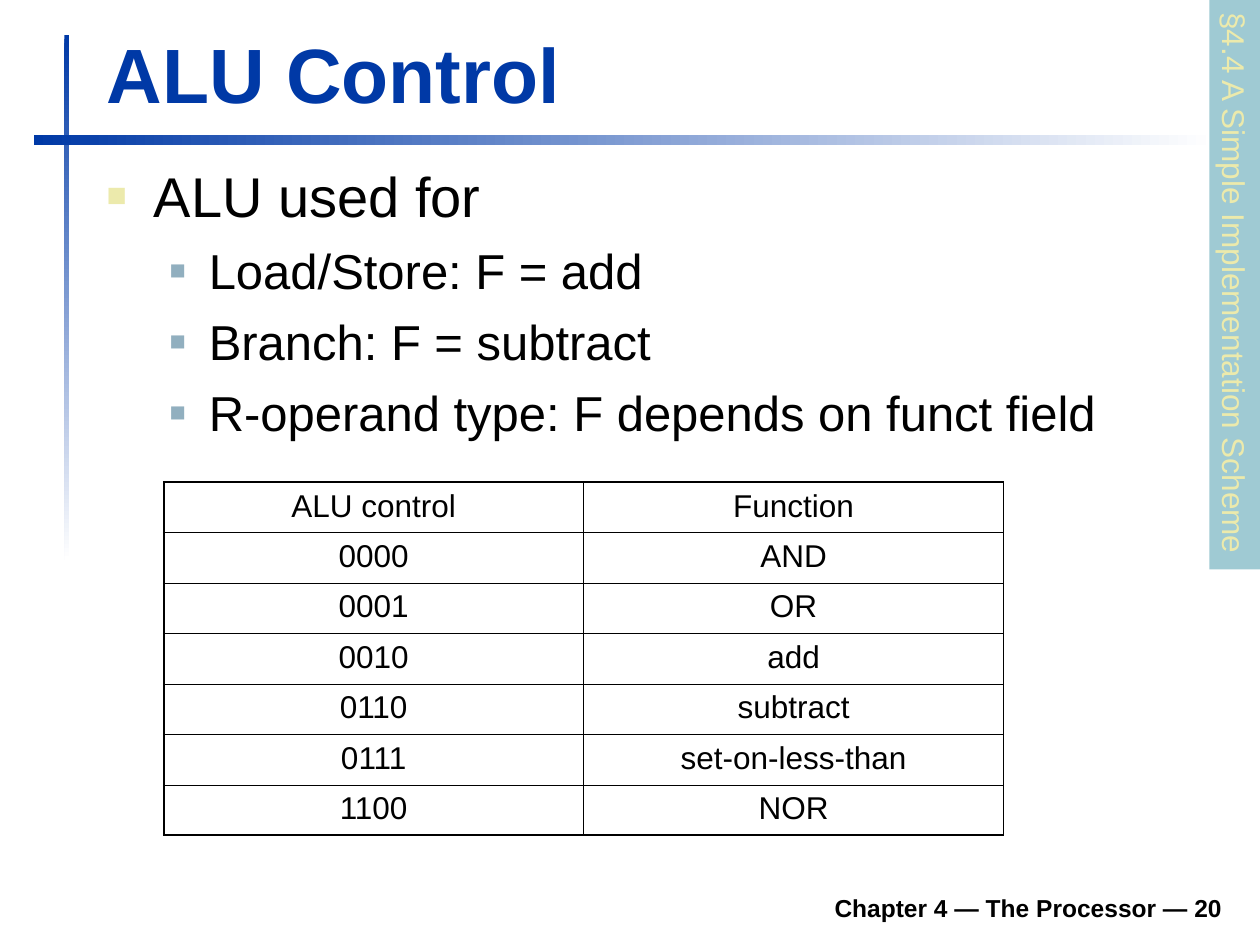
from lxml import etree
from pptx import Presentation
from pptx.dml.color import RGBColor
from pptx.enum.shapes import MSO_SHAPE
from pptx.enum.text import MSO_ANCHOR, PP_ALIGN
from pptx.oxml.ns import qn
from pptx.util import Cm, Pt

RECT = MSO_SHAPE.RECTANGLE
TOP, MIDDLE, BOTTOM = MSO_ANCHOR.TOP, MSO_ANCHOR.MIDDLE, MSO_ANCHOR.BOTTOM
LEFT, CENTER, RIGHT = PP_ALIGN.LEFT, PP_ALIGN.CENTER, PP_ALIGN.RIGHT

TITLE = "ALU Control"
BULLETS = [
    (0, "ALU used for"),
    (1, "Load/Store: F = add"),
    (1, "Branch: F = subtract"),
    (1, "R-operand type: F depends on funct field"),
]
TABLE = [
    ("ALU control", "Function"),
    ("0000", "AND"),
    ("0001", "OR"),
    ("0010", "add"),
    ("0110", "subtract"),
    ("0111", "set-on-less-than"),
    ("1100", "NOR"),
]
SECTION = "§4.4 A Simple Implementation Scheme"
FOOTER = "Chapter 4 — The Processor — 20"

THEME = {
    "font": "Arial",
    "blue": "0039A6", "white": "FFFFFF", "black": "000000",
    "cream": "ECEAAC", "teal": "9FCAD3",
    "title": 44, "table": 18, "section": 18, "footer": 14,
    "outer": 1.08, "header": 0.75, "inner": 0.45,
}
LEVELS = [
    {"size": 32, "before": 8, "margin": 0.95, "hang": 0.95, "color": "ECEAAC", "scale": 60},
    {"size": 28, "before": 7, "margin": 2.06, "hang": 0.79, "color": "91AFBF", "scale": 55},
]
RULES = [
    ((1.3, 0.71, 0.1, 10.59), 270),
    ((0.69, 2.72, 23.8, 0.2), 0),
]


def rgb(name):
    return RGBColor.from_string(THEME.get(name, name))


def box(at):
    return [Cm(v) for v in at]


def add_run(p, text, size, color="black", bold=False):
    r = p.add_run()
    r.text = text
    r.font.name = THEME["font"]
    r.font.size = Pt(size)
    r.font.bold = bold
    r.font.color.rgb = rgb(color)


def set_frame(tf, anchor, wrap=True):
    tf.word_wrap = wrap
    tf.vertical_anchor = anchor
    tf.margin_left = tf.margin_right = Cm(0.25)
    tf.margin_top = tf.margin_bottom = Cm(0.13)


def add_rect(s, at):
    sp = s.shapes.add_shape(RECT, *box(at))
    sp.shadow.inherit = False
    sp.line.fill.background()
    return sp


def add_rule(s, at, angle):
    fill = add_rect(s, at).fill
    fill.gradient()
    fill.gradient_angle = angle
    for stop, color, position in zip(fill.gradient_stops, ("blue", "white"), (0, 1)):
        stop.color.rgb = rgb(color)
        stop.position = position


def add_bullet(p, level):
    pPr = p._p.get_or_add_pPr()
    pPr.set("marL", str(Cm(level["margin"])))
    pPr.set("indent", str(-Cm(level["hang"])))
    color = etree.SubElement(pPr, qn("a:buClr"))
    etree.SubElement(color, qn("a:srgbClr"), val=level["color"])
    etree.SubElement(pPr, qn("a:buSzPct"), val=str(level["scale"] * 1000))
    etree.SubElement(pPr, qn("a:buFont"), typeface=THEME["font"])
    etree.SubElement(pPr, qn("a:buChar"), char="■")


def add_body(s, at):
    tf = s.shapes.add_textbox(*box(at)).text_frame
    set_frame(tf, TOP)
    for i, (depth, text) in enumerate(BULLETS):
        level = LEVELS[depth]
        p = tf.add_paragraph() if i else tf.paragraphs[0]
        p.level = depth
        add_bullet(p, level)
        p.space_before = Pt(level["before"] if i else 0)
        add_run(p, text, level["size"])


def set_border(cell, widths):
    tcPr = cell._tc.get_or_add_tcPr()
    for i, (side, width) in enumerate(widths.items()):
        ln = etree.Element(qn("a:" + side), w=str(Pt(width)))
        fill = etree.SubElement(ln, qn("a:solidFill"))
        etree.SubElement(fill, qn("a:srgbClr"), val=THEME["black"])
        tcPr.insert(i, ln)


def add_grid(s, at):
    rows, cols = len(TABLE), len(TABLE[0])
    table = s.shapes.add_table(rows, cols, *box(at)).table
    table.first_row = table.horz_banding = False
    outer, header, inner = THEME["outer"], THEME["header"], THEME["inner"]
    across = [outer, header] + [inner] * (rows - 2) + [outer]
    down = [outer] + [inner] * (cols - 1) + [outer]
    for y, values in enumerate(TABLE):
        for x, text in enumerate(values):
            cell = table.cell(y, x)
            cell.fill.background()
            set_border(cell, {"lnL": down[x], "lnR": down[x + 1],
                              "lnT": across[y], "lnB": across[y + 1]})
            p = cell.text_frame.paragraphs[0]
            p.alignment = CENTER
            add_run(p, text, THEME["table"])


def main():
    prs = Presentation()
    prs.slide_width, prs.slide_height = Cm(25.4), Cm(19.05)
    s = prs.slides.add_slide(prs.slide_layouts[5])

    for at, angle in RULES:
        add_rule(s, at, angle)

    title = s.shapes.title
    title.left, title.top, title.width, title.height = box((1.9, 0.41, 22.94, 2.11))
    set_frame(title.text_frame, BOTTOM)
    p = title.text_frame.paragraphs[0]
    p.alignment = LEFT
    add_run(p, TITLE, THEME["title"], "blue", True)

    add_body(s, (1.9, 3.12, 22.96, 6.6))

    tab = add_rect(s, (19.15, 5.23, 11.48, 1.02))
    tab.rotation = 90
    tab.fill.solid()
    tab.fill.fore_color.rgb = rgb("teal")
    set_frame(tab.text_frame, MIDDLE, False)
    p = tab.text_frame.paragraphs[0]
    p.alignment = LEFT
    add_run(p, SECTION, THEME["section"], "cream")

    add_grid(s, (3.3, 9.72, 16.93, 7.11))

    tf = s.shapes.add_textbox(*box((4.7, 17.73, 20.19, 0.99))).text_frame
    set_frame(tf, BOTTOM)
    p = tf.paragraphs[0]
    p.alignment = RIGHT
    add_run(p, FOOTER, THEME["footer"], bold=True)

    prs.save("out.pptx")


if __name__ == "__main__":
    main()
